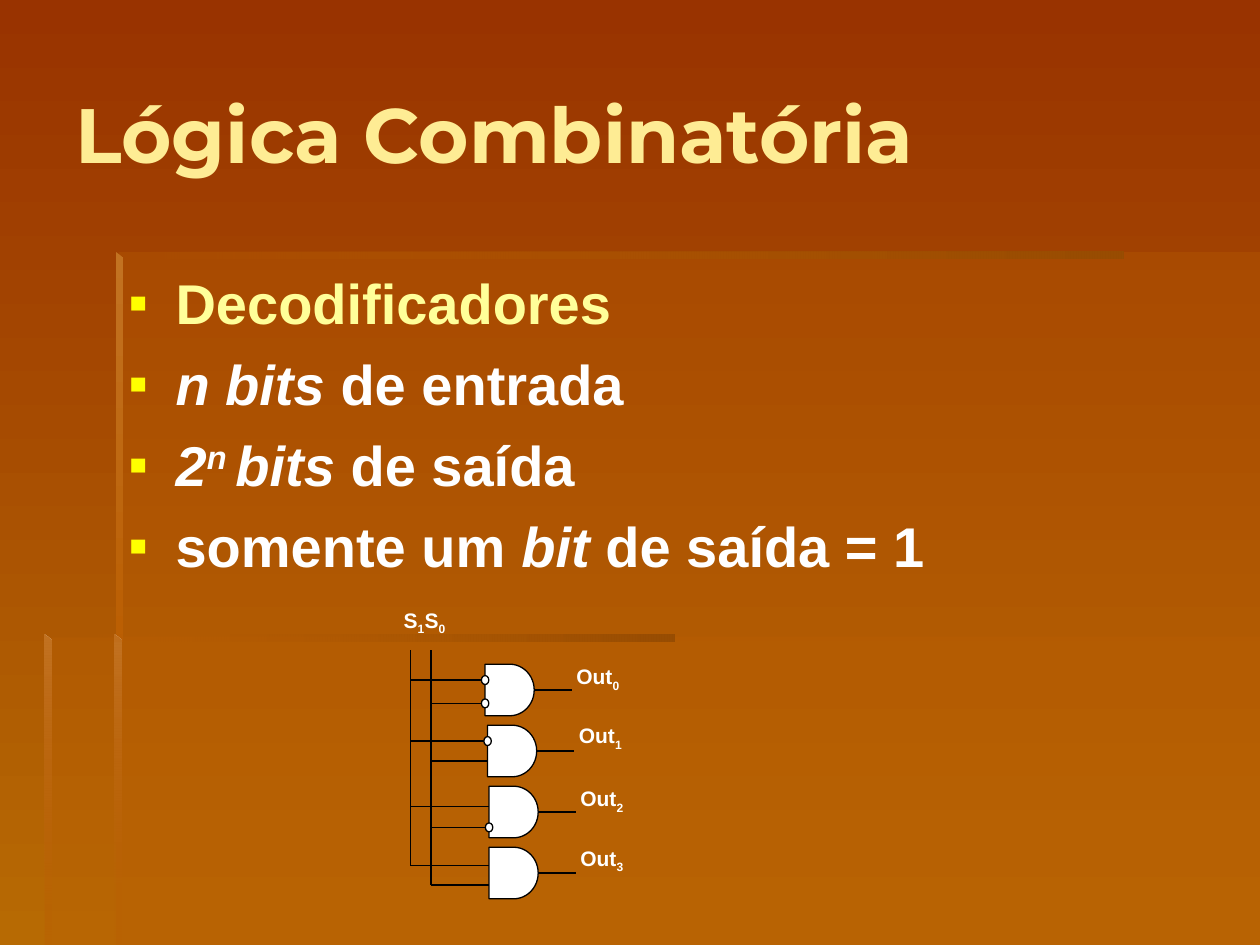
"""Build the slide on decoders in combinational logic."""
import lxml.etree
import pptx
import pptx.dml.color
import pptx.enum.shapes
import pptx.enum.text
import pptx.oxml.ns
import pptx.util

Cm = pptx.util.Cm
Pt = pptx.util.Pt
qn = pptx.oxml.ns.qn
SHAPES = pptx.enum.shapes.MSO_SHAPE
ANCHOR = pptx.enum.text.MSO_ANCHOR

COLOURS = {
    "top": "993300", "bottom": "B76A03", "panel": "BB5F03", "shade": "984D02",
    "light": "C27221", "title": "FEEC94", "topic": "FFFF99", "bullet": "FFFF00",
    "white": "FFFFFF", "black": "000000",
}
ITALIC = {"italic": True}
BULLETS = [
    [("Decodificadores", {"colour": "topic"})],
    [("n bits", ITALIC), (" de entrada", {})],
    [("2", ITALIC), ("n ", {"italic": True, "baseline": 30}), ("bits", ITALIC), (" de saída", {})],
    [("somente um ", {}), ("bit", ITALIC), (" de saída = 1", {})],
]
SUBSCRIPT = {"baseline": -25}
BUS_X = (8.28, 8.69)
BUS_TOP = 13.11
GATE_TOP, GATE_STEP, GATE_WIDTH, GATE_HEIGHT = 13.39, 1.23, 0.99, 1.04
BUBBLE_WIDTH, BUBBLE_HEIGHT = 0.15, 0.18
# gate left, input heights, inverted inputs, label top
GATES = [
    (9.78, (13.71, 14.18), (True, True), 13.26),
    (9.83, (14.94, 15.34), (True, False), 14.45),
    (9.86, (16.26, 16.68), (False, True), 15.72),
    (9.86, (17.45, 17.84), (False, False), 16.92),
]


class SlideBuilder:
    """Hold the style and the current slide."""

    def __init__(self, slide, colours):
        self.slide = slide
        self.colours = colours
        self.font = {"name": "Arial", "bold": True}

    def rgb(self, name):
        return pptx.dml.color.RGBColor.from_string(self.colours[name])

    def gradient(self, fill, names, angle):
        fill.gradient()
        fill.gradient_angle = (360 - angle) % 360
        for stop, name in zip(fill.gradient_stops, names):
            stop.color.rgb = self.rgb(name)

    def solid(self, shape, name):
        shape.fill.solid()
        shape.fill.fore_color.rgb = self.rgb(name)

    def opacity(self, shape, percent):
        colour = list(shape._element.spPr.iter(qn("a:srgbClr")))[-1]
        lxml.etree.SubElement(colour, qn("a:alpha"), val=str(percent * 1000))

    def outline(self, points):
        start, *others = [(Cm(x), Cm(y)) for x, y in points]
        builder = self.slide.shapes.build_freeform(*start)
        builder.add_line_segments(others)
        shape = builder.convert_to_shape()
        shape.shadow.inherit = False
        shape.line.fill.background()
        return shape

    def panel(self, points):
        shape = self.outline(points)
        self.solid(shape, "panel")
        self.opacity(shape, 30)

    def horizontal_bar(self, left, top, width):
        shape = self.preset(SHAPES.RECTANGLE, left, top, width, 0.13)
        shape.line.fill.background()
        self.gradient(shape.fill, ("shade", "panel"), 180)
        self.opacity(shape, 0)

    def vertical_bar(self, left, top, bottom, percent):
        right = left + 0.14
        shape = self.outline([(left, top), (left, bottom), (right, bottom), (right, top + 0.11)])
        self.gradient(shape.fill, ("light", "panel"), 90)
        self.opacity(shape, percent)

    def preset(self, kind, left, top, width, height):
        shape = self.slide.shapes.add_shape(kind, Cm(left), Cm(top), Cm(width), Cm(height))
        shape.shadow.inherit = False
        self.solid(shape, "white")
        shape.line.color.rgb = self.rgb("black")
        shape.line.width = Pt(0.75)
        return shape

    def wire(self, x1, y1, x2, y2):
        connector = self.slide.shapes.add_connector(
            pptx.enum.shapes.MSO_CONNECTOR.STRAIGHT, Cm(x1), Cm(y1), Cm(x2), Cm(y2))
        connector.line.color.rgb = self.rgb("black")
        connector.line.width = Pt(0.75)
        lxml.etree.SubElement(connector._element.spPr, qn("a:effectLst"))

    def text(self, box, paragraphs, size, anchor=ANCHOR.TOP, bullet=False):
        frame = self.slide.shapes.add_textbox(*map(Cm, box)).text_frame
        frame.word_wrap = True
        frame.vertical_anchor = anchor
        for index, runs in enumerate(paragraphs):
            paragraph = frame.paragraphs[0] if index == 0 else frame.add_paragraph()
            for text, extra in runs:
                self.run(paragraph, text, {"size": Pt(size), **extra})
            if bullet:
                self.bullet(paragraph)

    def run(self, paragraph, text, extra):
        run = paragraph.add_run()
        run.text = text
        values = {**self.font, **extra}
        run.font.color.rgb = self.rgb(values.pop("colour", "white"))
        baseline = values.pop("baseline", 0)
        if baseline:
            run.font._element.set("baseline", str(baseline * 1000))
        for name, value in values.items():
            setattr(run.font, name, value)

    def bullet(self, paragraph):
        paragraph.space_before = Pt(8)
        properties = paragraph._p.get_or_add_pPr()
        properties.set("marL", str(Cm(0.95)))
        properties.set("indent", str(-Cm(0.95)))
        colour = lxml.etree.SubElement(properties, qn("a:buClr"))
        lxml.etree.SubElement(colour, qn("a:srgbClr"), val=self.colours["bullet"])
        lxml.etree.SubElement(properties, qn("a:buFont"), typeface="Arial")
        lxml.etree.SubElement(properties, qn("a:buChar"), char="▪")

    def gate(self, index, left, inputs, inverted, label_top):
        top = GATE_TOP + index * GATE_STEP
        right, middle = left + GATE_WIDTH, top + GATE_HEIGHT / 2
        self.preset(SHAPES.FLOWCHART_DELAY, left, top, GATE_WIDTH, GATE_HEIGHT)
        self.wire(right, middle, right + 0.76, middle)
        for bus, height, has_bubble in zip(BUS_X, inputs, inverted):
            self.wire(bus, height, left, height)
            if has_bubble:
                self.preset(SHAPES.OVAL, left - BUBBLE_WIDTH / 2, height - BUBBLE_HEIGHT / 2,
                            BUBBLE_WIDTH, BUBBLE_HEIGHT)
        self.text((left + 1.59, label_top, 1.8, 1.1), [[("Out", {}), (str(index), SUBSCRIPT)]], 12)


def main():
    presentation = pptx.Presentation()
    presentation.slide_width, presentation.slide_height = Cm(25.4), Cm(19.05)
    slide = presentation.slides.add_slide(presentation.slide_layouts[6])
    builder = SlideBuilder(slide, COLOURS)
    builder.gradient(slide.background.fill, ("top", "bottom"), 90)

    builder.panel([(2.34, 12.83), (2.34, 19.05), (25.4, 19.05), (25.4, 12.83)])
    builder.panel([(2.39, 12.85), (0.91, 12.85), (0.91, 19.05),
                   (25.4, 19.05), (25.4, 5.08), (2.39, 5.08)])
    builder.horizontal_bar(2.34, 5.08, 20.3)
    builder.vertical_bar(2.34, 5.08, 12.95, 100)
    builder.vertical_bar(2.31, 12.8, 19.05, 0)
    builder.horizontal_bar(0.89, 12.8, 12.7)
    builder.vertical_bar(0.89, 12.8, 19.05, 10)

    title = ("Lógica Combinatória", {"name": "Montserrat", "colour": "title"})
    builder.text((1.27, 0.69, 23.29, 3.99), [[title]], 44, anchor=ANCHOR.MIDDLE)
    builder.text((2.34, 5.28, 22.25, 11.63), BULLETS, 32, bullet=True)

    for index, gate in enumerate(GATES):
        builder.gate(index, *gate)
    for x, bottom in zip(BUS_X, GATES[-1][1]):
        builder.wire(x, BUS_TOP, x, bottom)
    builder.text((7.89, 12.12, 2, 1.1),
                 [[("S", {}), ("1", SUBSCRIPT), ("S", {}), ("0", SUBSCRIPT)]], 12)
    presentation.save("out.pptx")


if __name__ == "__main__":
    main()
